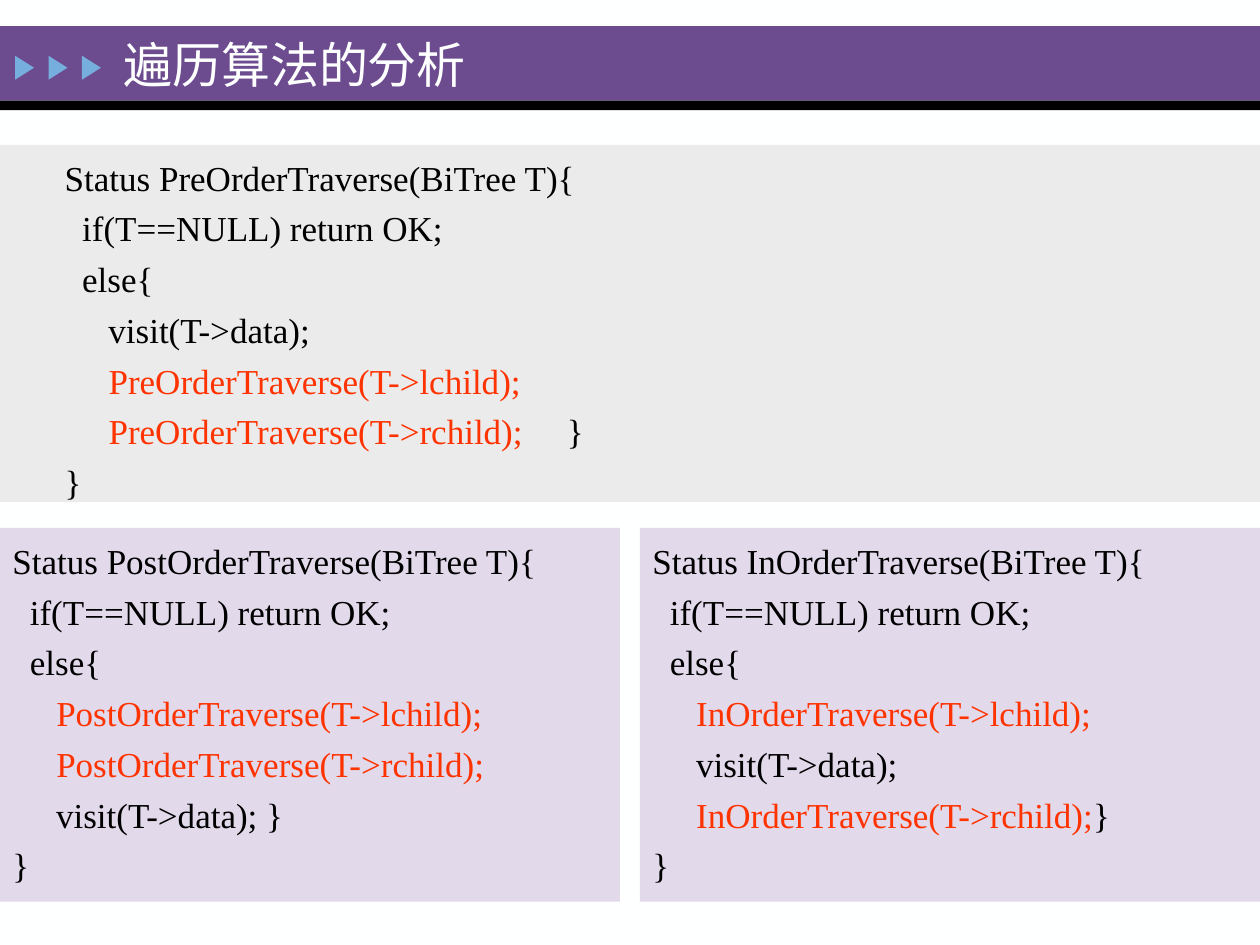
from pptx import Presentation
from pptx import util as u
from pptx.dml.color import RGBColor
from pptx.enum import shapes, text

COLORS = {
    "paper": "FEFFFF", "banner": "6C4C8F", "ink": "000000", "arrow": "76AEDD",
    "gray": "EBEBEB", "lilac": "E2D9EB", "recursion": "FF3300",
}
FONT = "Times New Roman"


def add_span(para, words, size=20, color="ink"):
    span = para.add_run()
    span.text = words
    span.font.size = u.Pt(size)
    span.font.name = FONT
    span.font.color.rgb = RGBColor.from_string(COLORS[color])


class SlideBuilder:
    def __init__(self, slide):
        self.slide = slide
        slide.background.fill.solid()
        slide.background.fill.fore_color.rgb = RGBColor.from_string(COLORS["paper"])

    def shape(self, left, top, width, height, color,
              kind=shapes.MSO_SHAPE.RECTANGLE, turn=0):
        box = self.slide.shapes.add_shape(
            kind, u.Pt(left), u.Pt(top), u.Pt(width), u.Pt(height))
        box.shadow.inherit = False
        box.fill.solid()
        box.fill.fore_color.rgb = RGBColor.from_string(COLORS[color])
        box.line.fill.background()
        box.rotation = turn
        return box

    def title(self, left, top, width, height, words):
        box = self.slide.shapes.add_textbox(
            u.Pt(left), u.Pt(top), u.Pt(width), u.Pt(height))
        frame = box.text_frame
        frame.word_wrap = True
        frame.vertical_anchor = text.MSO_ANCHOR.MIDDLE
        add_span(frame.paragraphs[0], words, size=28, color="paper")

    def code(self, left, top, width, height, lines, color, indent=0):
        """Draw a code panel; text between bars is a recursive call."""
        frame = self.shape(left, top, width, height, color).text_frame
        frame.word_wrap = True
        frame.vertical_anchor = text.MSO_ANCHOR.TOP
        frame.margin_left = u.Pt(7.2 + indent)
        frame.margin_top = u.Pt(6.5)
        for number, line in enumerate(lines):
            para = frame.add_paragraph() if number else frame.paragraphs[0]
            para.alignment = text.PP_ALIGN.JUSTIFY
            para.space_before = u.Pt(5 if number else 0)
            for part, words in enumerate(line.split("|")):
                if words:
                    add_span(para, words, color="recursion" if part % 2 else "ink")


def traversal(name, *body):
    return [f"Status {name}(BiTree T){{", "  if(T==NULL) return OK;", "  else{",
            *("     " + line for line in body), "}"]


def main():
    deck = Presentation()
    deck.slide_width, deck.slide_height = u.Pt(720), u.Pt(540)
    page = SlideBuilder(deck.slides.add_slide(deck.slide_layouts[6]))

    # Title banner with three arrows
    page.shape(0, 15, 720, 42.5, "banner")
    page.shape(0, 57.5, 720, 5.5, "ink")
    for step in range(3):
        page.shape(7.2 + 19.1 * step, 33.3, 13.7, 10.8, "arrow",
                   shapes.MSO_SHAPE.ISOSCELES_TRIANGLE, turn=90)

    # Preorder across the top, postorder and inorder side by side
    page.code(0, 82.8, 720, 204.2, traversal(
        "PreOrderTraverse", "visit(T->data);",
        "|PreOrderTraverse(T->lchild);|",
        "|PreOrderTraverse(T->rchild);|     }"), "gray", indent=29.8)
    page.code(0, 301.7, 354.3, 213.6, traversal(
        "PostOrderTraverse", "|PostOrderTraverse(T->lchild);|",
        "|PostOrderTraverse(T->rchild);|", "visit(T->data); }"), "lilac")
    page.code(365.7, 301.7, 354.3, 213.6, traversal(
        "InOrderTraverse", "|InOrderTraverse(T->lchild);|",
        "visit(T->data);", "|InOrderTraverse(T->rchild);|}"), "lilac")

    page.title(63.4, 16.6, 290.9, 40.3, "遍历算法的分析")
    deck.save("out.pptx")


if __name__ == "__main__":
    main()
